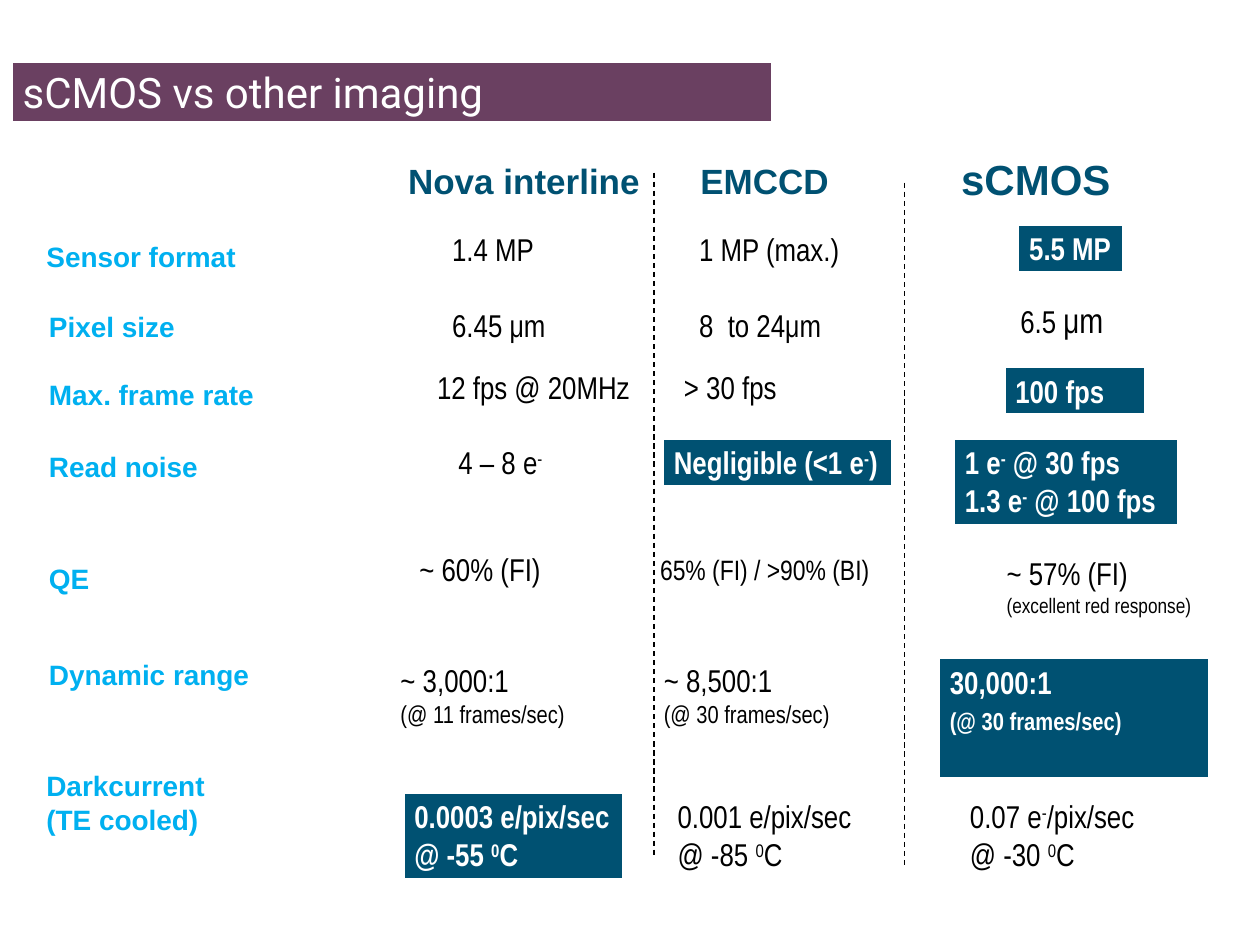
from lxml import etree
from pptx import Presentation
from pptx.dml.color import RGBColor
from pptx.enum.dml import MSO_LINE
from pptx.enum.shapes import MSO_CONNECTOR, MSO_SHAPE
from pptx.enum.text import MSO_ANCHOR, MSO_AUTO_SIZE, PP_ALIGN
from pptx.oxml.ns import qn
from pptx.util import Pt

PX = 9144
TITLE_ONLY = 5
RECTANGLE = MSO_SHAPE.RECTANGLE
STRAIGHT = MSO_CONNECTOR.STRAIGHT
DASH = MSO_LINE.DASH
TOP = MSO_ANCHOR.TOP
NO_FIT = MSO_AUTO_SIZE.NONE
LEFT = PP_ALIGN.LEFT

COLORS = {
    "plum": "6A4061",
    "navy": "005172",
    "sky": "00B0F0",
    "white": "FFFFFF",
    "black": "000000",
}

LABELS = [
    ((0, 0, 172, 37), ["Sensor format"]),
    ((2, 56, 121, 37), ["Pixel size"]),
    ((2, 110, 185, 37), ["Max. frame rate"]),
    ((2, 167, 140, 37), ["Read noise"]),
    ((2, 256, 52, 37), ["QE"]),
    ((2, 332, 181, 37), ["Dynamic range"]),
    ((0, 420, 153, 64), ["Darkcurrent", "(TE cooled)"]),
]

INTERLINE = [
    ((41, 61, 86, 40), [[(18, "1.4 MP")]], False, False),
    ((41, 121, 98, 40), [[(18, "6.45 μm")]], False, False),
    ((29, 170, 175, 40), [[(18, "12 fps @ 20MHz")]], False, False),
    ((46, 230, 88, 40), [[(18, "4 – 8 e^-^")]], False, False),
    ((15, 315, 117, 40), [[(18, "~ 60% (FI)")]], False, False),
    ((0, 403, 152, 64), [[(18, "~ 3,000:1")], [(14, "(@ 11 frames/sec)")]], False, False),
    ((11, 511, 177, 71), [[(18, "0.0003 e/pix/sec")], [(18, "@ -55 ^0^C")]], True, False),
]
EMCCD = [
    ((31, 61, 132, 40), [[(18, "1 MP (max.)")]], False, False),
    ((31, 121, 121, 40), [[(18, "8  to 24μm")]], False, False),
    ((19, 170, 95, 40), [[(18, "> 30 fps")]], False, False),
    ((11, 230, 184, 40), [[(18, "Negligible (<1 e^-^)")]], True, False),
    ((0, 317, 188, 37), [[(16, "65% (FI) / >90% (BI)")]], False, False),
    ((3, 403, 194, 64), [[(18, "~ 8,500:1")], [(14, "(@ 30 frames/sec)")]], False, True),
    ((14, 511, 183, 71), [[(18, "0.001 e/pix/sec @ -85 ^0^C")]], False, True),
]
SCMOS = [
    ((63, 60, 86, 40), [[(18, "5.5 MP")]], True, False),
    ((56, 115, 96, 44), [[(18, "6.5 "), (20, "μm")]], False, True),
    ((52, 173, 114, 40), [[(18, "100 fps")]], True, True),
    ((12, 230, 180, 71), [[(18, "1 e^-^ @ 30 fps")], [(18, "1.3 e^-^ @ 100 fps")]], True, False),
    ((45, 318, 168, 60), [[(18, "~ 57% (FI)")], [(12, "(excellent red response)")]], False, False),
    ((0, 404, 217, 98), [[(18, "30,000:1")], [(14, "(@ 30 frames/sec)")]], True, True),
    ((16, 511, 167, 71), [[(18, "0.07 e^-^/pix/sec @ -30 ^0^C")]], False, True),
]


def rgb(name):
    return RGBColor.from_string(COLORS[name])


def emu(*lengths):
    return [length * PX for length in lengths]


def offset(origin, box):
    return (origin[0] + box[0], origin[1] + box[1], box[2], box[3])


def style_box(shape, fill):
    shape.shadow.inherit = False
    shape.fill.solid()
    shape.fill.fore_color.rgb = rgb(fill)
    shape.line.color.rgb = rgb("white")
    shape.line.width = Pt(3)


def write_runs(paragraph, runs, font_name, color, bold):
    paragraph.alignment = LEFT
    for size, text in runs:
        for index, part in enumerate(text.split("^")):
            if not part:
                continue
            run = paragraph.add_run()
            run.text = part
            run.font.name = font_name
            run.font.size = Pt(size)
            run.font.bold = bold
            run.font.color.rgb = rgb(color)
            if index % 2:
                run.font._element.set("baseline", "30000")


def write_text(shape, paragraphs, font_name, color, bold, wrap):
    frame = shape.text_frame
    frame.word_wrap = wrap
    frame.auto_size = NO_FIT
    frame.vertical_anchor = TOP
    for index, runs in enumerate(paragraphs):
        paragraph = frame.add_paragraph() if index else frame.paragraphs[0]
        write_runs(paragraph, runs, font_name, color, bold)
    return frame


def add_title(slide, box):
    title = slide.shapes.title
    title.left, title.top, title.width, title.height = emu(*box)
    style_box(title, "plum")
    write_text(title, [[(24, "sCMOS vs other imaging")]], "Roboto", "white", False, True)


def add_labels(slide, origin):
    for box, lines in LABELS:
        shape = slide.shapes.add_textbox(*emu(*offset(origin, box)))
        write_text(shape, [[(16, line)] for line in lines], "Arial", "sky", True, False)


def add_cell(slide, box, paragraphs, highlighted, wrap):
    if highlighted:
        shape = slide.shapes.add_shape(RECTANGLE, *emu(*box))
        style_box(shape, "navy")
    else:
        shape = slide.shapes.add_textbox(*emu(*box))
    color = "white" if highlighted else "black"
    frame = write_text(shape, paragraphs, "Arial Narrow", color, highlighted, wrap)
    if highlighted and paragraphs[-1][0][0] == 14:
        frame.paragraphs[-1].space_before = Pt(3)


def add_column(slide, origin, heading, heading_size, heading_box, cells):
    shape = slide.shapes.add_textbox(*emu(*offset(origin, heading_box)))
    write_text(shape, [[(heading_size, heading)]], "Arial", "navy", True, False)
    for box, paragraphs, highlighted, wrap in cells:
        add_cell(slide, offset(origin, box), paragraphs, highlighted, wrap)


def add_divider(slide, left, top, height):
    line = slide.shapes.add_connector(STRAIGHT, *emu(left, top, left, top + height))
    line.line.color.rgb = rgb("black")
    line.line.width = Pt(0.75)
    line.line.dash_style = DASH
    etree.SubElement(line._element.spPr, qn("a:effectLst"))


def main():
    presentation = Presentation()
    presentation.slide_width, presentation.slide_height = emu(1000, 750)
    slide = presentation.slides.add_slide(presentation.slide_layouts[TITLE_ONLY])
    add_title(slide, (8, 48, 606, 50))
    add_labels(slide, (27, 185))
    add_column(slide, (308, 117), "Nova interline", 20, (6, 5, 205, 44), INTERLINE)
    add_column(slide, (514, 117), "EMCCD", 20, (32, 5, 123, 44), EMCCD)
    add_column(slide, (744, 117), "sCMOS", 24, (9, 0, 140, 50), SCMOS)
    add_divider(slide, 519, 137, 544)
    add_divider(slide, 718, 145, 544)
    presentation.save("out.pptx")


if __name__ == "__main__":
    main()
